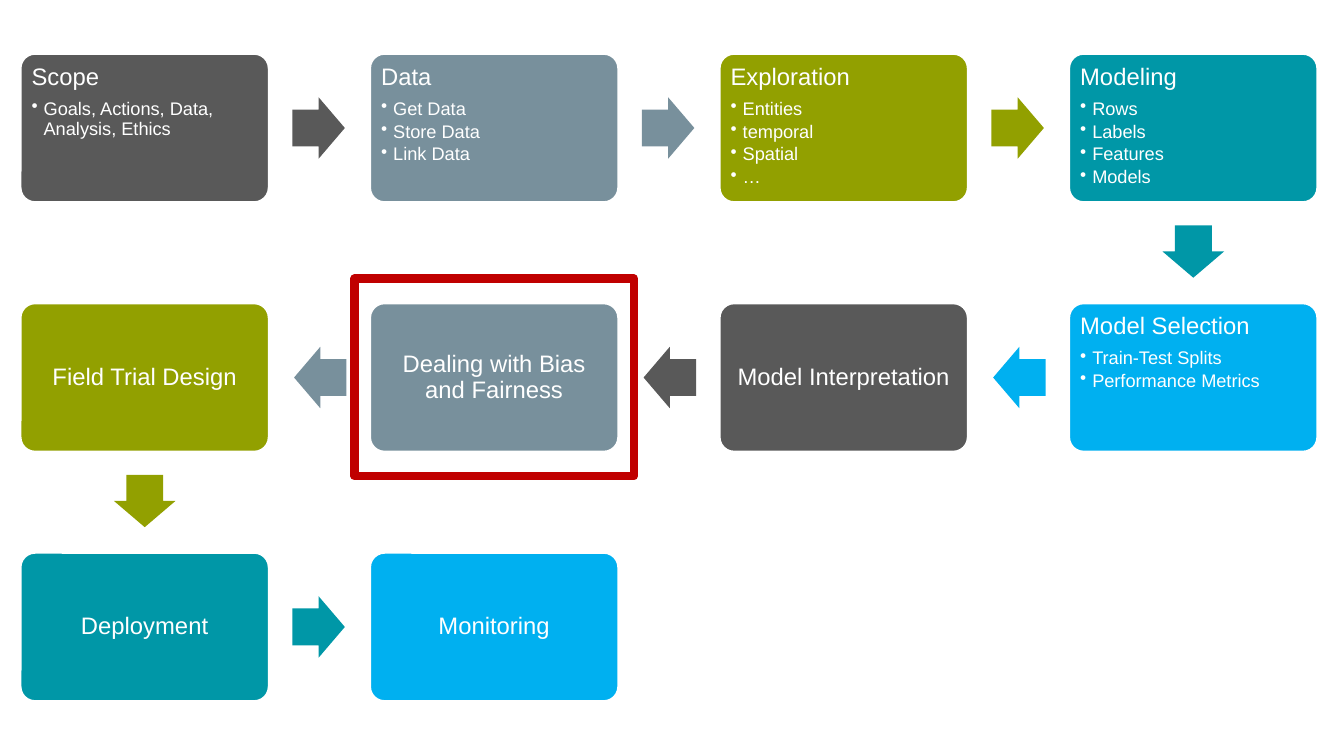
"""Build a slide that shows a data project as a winding chain of steps."""
from dataclasses import dataclass

from lxml.etree import SubElement
from pptx import Presentation
from pptx.dml.color import RGBColor
from pptx.enum.shapes import MSO_SHAPE
from pptx.enum.text import MSO_ANCHOR, PP_ALIGN
from pptx.oxml.ns import qn
from pptx.util import Inches, Pt


@dataclass(frozen=True)
class Theme:
    """Colours, font and type sizes of the slide."""
    font: str = "Arial"
    title_size: float = 17
    bullet_size: float = 13
    white: str = "FFFFFF"
    highlight: str = "C00000"
    steps: tuple = ("595959", "78909C", "92A000", "0097A7", "00B0F0")


STEPS = [
    ("Scope", ["Goals, Actions, Data, Analysis, Ethics"]),
    ("Data", ["Get Data", "Store Data", "Link Data"]),
    ("Exploration", ["Entities", "temporal", "Spatial", "…"]),
    ("Modeling", ["Rows", "Labels", "Features", "Models"]),
    ("Model Selection", ["Train-Test Splits", "Performance Metrics"]),
    ("Model Interpretation", []),
    ("Dealing with Bias and Fairness", []),
    ("Field Trial Design", []),
    ("Deployment", []),
    ("Monitoring", []),
]
COLUMNS = 4
LEFT, TOP = 0.2, 0.53
PITCH_X, PITCH_Y = 10.4 / 3, 4.95 / 2
BOX_W, BOX_H = 2.47, 1.48
ARROW_W, ARROW_H = 0.52, 0.61
ARROW_RIGHT, ARROW_LEFT, ARROW_DOWN = 2.7, -0.75, 1.66


def cell(i):
    """Return the row and column of step i; odd rows run right to left."""
    row, col = divmod(i, COLUMNS)
    return row, COLUMNS - 1 - col if row % 2 else col


def corner(i):
    """Return the left and top of the box of step i."""
    row, col = cell(i)
    return LEFT + col * PITCH_X, TOP + row * PITCH_Y


def add_text(p, text, *, font, size, color, align=PP_ALIGN.LEFT, after=0, bullet=False):
    """Fill a paragraph with one formatted run."""
    p.alignment = align
    p.line_spacing = 0.9
    p.space_after = Pt(after)
    if bullet:
        p.level = 1
        pPr = p._p.get_or_add_pPr()
        pPr.set("marL", str(Inches(0.12)))
        pPr.set("indent", str(-Inches(0.12)))
        SubElement(pPr, qn("a:buChar"), char="•")
    r = p.add_run()
    r.text = text
    r.font.name = font
    r.font.size = Pt(size)
    r.font.color.rgb = RGBColor.from_string(color)


class FlowSlide:
    """Draws the flow elements on one slide in one theme."""

    def __init__(self, slide, theme):
        """Keep the slide and its theme."""
        self.slide, self.theme = slide, theme

    def shape(self, kind, x, y, w, h, *, fill=None, line=None, width=0):
        """Add a flat preset shape."""
        sp = self.slide.shapes.add_shape(kind, Inches(x), Inches(y), Inches(w), Inches(h))
        sp.shadow.inherit = False
        if fill:
            sp.fill.solid()
            sp.fill.fore_color.rgb = RGBColor.from_string(fill)
        else:
            sp.fill.background()
        if line:
            sp.line.color.rgb = RGBColor.from_string(line)
            sp.line.width = Pt(width)
        else:
            sp.line.fill.background()
        return sp

    def step(self, i, title, bullets, color):
        """Add the box of a step with its title and bullets."""
        t = self.theme
        sp = self.shape(MSO_SHAPE.ROUNDED_RECTANGLE, *corner(i), BOX_W, BOX_H,
                        fill=color, line=t.white, width=2)
        sp.adjustments[0] = 0.1
        tf = sp.text_frame
        tf.word_wrap = True
        tf.margin_left = tf.margin_right = tf.margin_top = tf.margin_bottom = Inches(0.07)
        tf.vertical_anchor = MSO_ANCHOR.TOP if bullets else MSO_ANCHOR.MIDDLE
        add_text(tf.paragraphs[0], title, font=t.font, size=t.title_size, color=t.white,
                 align=PP_ALIGN.LEFT if bullets else PP_ALIGN.CENTER,
                 after=6.5 if bullets else 0)
        for bullet in bullets:
            add_text(tf.add_paragraph(), bullet, font=t.font, size=t.bullet_size,
                     color=t.white, after=2.2, bullet=True)

    def arrow(self, i, color):
        """Add the arrow that leads from step i to the next one."""
        (row, col), (next_row, next_col) = cell(i), cell(i + 1)
        dx, dy, rotation = ARROW_RIGHT, (BOX_H - ARROW_H) / 2, 0
        if next_row > row:
            dx, dy, rotation = (BOX_W - ARROW_W) / 2, ARROW_DOWN, 90
        elif next_col < col:
            dx, rotation = ARROW_LEFT, 180
        x, y = corner(i)
        sp = self.shape(MSO_SHAPE.RIGHT_ARROW, x + dx, y + dy, ARROW_W, ARROW_H, fill=color)
        sp.adjustments[0], sp.adjustments[1] = 0.6, 0.5
        sp.rotation = rotation

    def highlight(self, i):
        """Frame the box of step i."""
        x, y = corner(i)
        self.shape(MSO_SHAPE.RECTANGLE, x - 0.15, y - 0.24, BOX_W + 0.3, BOX_H + 0.48,
                   line=self.theme.highlight, width=6)


def main():
    """Build and save the presentation."""
    prs = Presentation()
    prs.slide_width, prs.slide_height = Inches(13.33), Inches(7.5)
    theme = Theme()
    flow = FlowSlide(prs.slides.add_slide(prs.slide_layouts[6]), theme)
    for i, (title, bullets) in enumerate(STEPS):
        color = theme.steps[i % len(theme.steps)]
        flow.step(i, title, bullets, color)
        if i < len(STEPS) - 1:
            flow.arrow(i, color)
    flow.highlight(6)
    prs.save("out.pptx")


if __name__ == "__main__":
    main()
